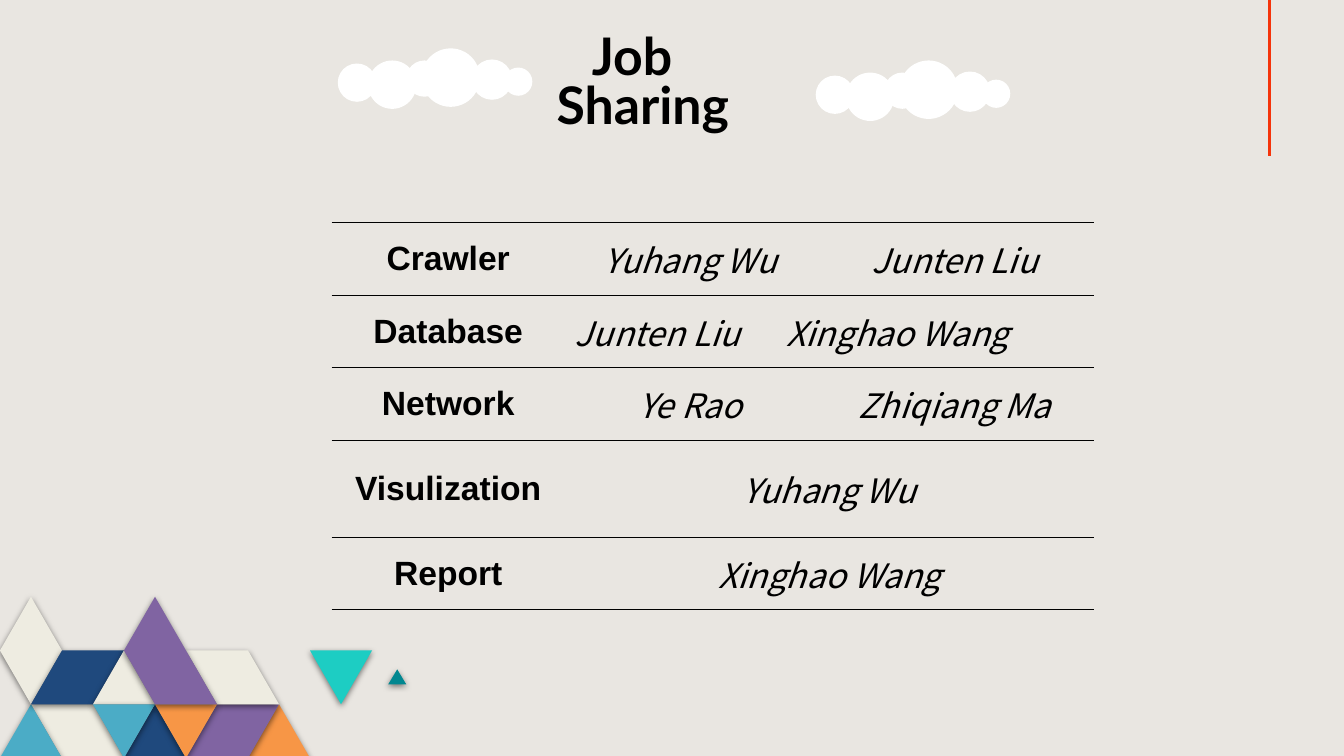
from dataclasses import dataclass

import pptx
import pptx.dml.color
import pptx.enum.shapes
import pptx.enum.text
import pptx.oxml
import pptx.oxml.ns
import pptx.util
from pptx.util import Inches

COLORS = {
    "paper": "E9E6E1", "ink": "000000", "cloud": "FFFFFF", "red": "F5340B",
    "cream": "EEECE1", "navy": "1F497D", "purple": "8064A2", "sky": "4BACC6",
    "orange": "F79646", "turquoise": "1DCDC3", "teal": "018790",
}
NS = pptx.oxml.ns.nsdecls("a")

# Mosaic lattice: half a triangle side across, one triangle height down
MOSAIC_TOP = Inches(5.92)
HALF_SIDE = Inches(3.69) / 12
TILE_HEIGHT = Inches(1.6) / 3


@dataclass
class Tile:
    color: str
    corners: list[tuple[int, int]]  # lattice column, lattice row


@dataclass
class Puff:
    x: float  # centre, from the cloud's left edge
    y: float  # centre, from the cloud's top edge
    radius: float


@dataclass
class Job:
    task: str
    people: list[str]
    height: float = 0.72


TILES = [
    Tile("orange", [(9, 2), (10, 3), (8, 3)]),
    Tile("purple", [(7, 2), (9, 2), (8, 3), (6, 3)]),
    Tile("cream", [(1, 2), (3, 2), (4, 3), (2, 3)]),
    Tile("sky", [(1, 2), (2, 3), (0, 3)]),
    Tile("navy", [(5, 2), (6, 3), (4, 3)]),
    Tile("cream", [(6, 1), (8, 1), (9, 2), (7, 2)]),
    Tile("turquoise", [(10, 1), (12, 1), (11, 2)]),
    Tile("cream", [(1, 0), (2, 1), (1, 2), (0, 1)]),
    Tile("navy", [(2, 1), (4, 1), (3, 2), (1, 2)]),
    Tile("cream", [(4, 1), (5, 2), (3, 2)]),
    Tile("sky", [(3, 2), (5, 2), (4, 3)]),
    Tile("orange", [(5, 2), (7, 2), (6, 3)]),
    Tile("purple", [(5, 0), (7, 2), (5, 2), (4, 1)]),
]
PUFFS = [
    Puff(0.19, 0.34, 0.19), Puff(0.54, 0.36, 0.24), Puff(0.86, 0.3, 0.18),
    Puff(1.12, 0.29, 0.29), Puff(1.53, 0.31, 0.2), Puff(1.79, 0.33, 0.14),
]
JOBS = [
    Job("Crawler", ["Yuhang Wu", "Junten Liu"]),
    Job("Database", ["Junten Liu\tXinghao Wang"]),
    Job("Network", ["Ye Rao", "Zhiqiang Ma"]),
    Job("Visulization", ["Yuhang Wu"], 0.96),
    Job("Report", ["Xinghao Wang"]),
]
COLUMN_WIDTHS = [2.31, 2.49, 2.76]


def rgb(color: str) -> pptx.dml.color.RGBColor:
    return pptx.dml.color.RGBColor.from_string(COLORS[color])


def paint(shape, color: str) -> None:
    shape.fill.solid()
    shape.fill.fore_color.rgb = rgb(color)
    shape.line.fill.background()
    shape.shadow.inherit = False


def add_tile_shadow(shape) -> None:
    effects = shape._element.spPr.find(pptx.oxml.ns.qn("a:effectLst"))
    effects.append(pptx.oxml.parse_xml(
        f'<a:outerShdw {NS} blurRad="57150" dist="19050" dir="5400000" '
        f'algn="ctr" rotWithShape="0"><a:srgbClr val="{COLORS["ink"]}">'
        '<a:alpha val="50000"/></a:srgbClr></a:outerShdw>'))


def draw_tile(slide, tile: Tile) -> None:
    points = [(round(column * HALF_SIDE), round(MOSAIC_TOP + row * TILE_HEIGHT))
              for column, row in tile.corners]
    outline = slide.shapes.build_freeform(*points[0])
    outline.add_line_segments(points[1:], close=True)
    piece = outline.convert_to_shape()
    paint(piece, tile.color)
    add_tile_shadow(piece)


def draw_cloud(slide, left: float, top: float) -> None:
    cloud = slide.shapes.add_group_shape()
    for puff in PUFFS:
        circle = cloud.shapes.add_shape(
            pptx.enum.shapes.MSO_SHAPE.OVAL,
            Inches(left + puff.x - puff.radius), Inches(top + puff.y - puff.radius),
            Inches(2 * puff.radius), Inches(2 * puff.radius))
        paint(circle, "cloud")


def format_text(paragraph, size: int, font: str, bold: bool, italic: bool) -> None:
    for run in paragraph.runs:
        run.font.size = pptx.util.Pt(size)
        run.font.name = font
        run.font.bold = bold
        run.font.italic = italic
        run.font.color.rgb = rgb("ink")


def rule_cell(cell) -> None:
    """Clear the fill and leave only the horizontal rules."""
    cell.fill.background()
    cell.vertical_anchor = pptx.enum.text.MSO_ANCHOR.MIDDLE
    rule = f'<a:solidFill><a:srgbClr val="{COLORS["ink"]}"/></a:solidFill>'
    sides = {"lnL": "<a:noFill/>", "lnR": "<a:noFill/>", "lnT": rule, "lnB": rule}
    properties = cell._tc.get_or_add_tcPr()
    for position, (side, stroke) in enumerate(sides.items()):
        properties.insert(position, pptx.oxml.parse_xml(
            f'<a:{side} {NS} w="12700">{stroke}</a:{side}>'))


def fill_cell(cell, text: str, is_task: bool) -> None:
    paragraph = cell.text_frame.paragraphs[0]
    paragraph.text = text
    if "\t" in text:
        paragraph.alignment = pptx.enum.text.PP_ALIGN.LEFT
        paragraph._p.get_or_add_pPr().append(pptx.oxml.parse_xml(
            f'<a:tabLst {NS}><a:tab pos="{Inches(2.1)}" algn="l"/></a:tabLst>'))
    else:
        paragraph.alignment = pptx.enum.text.PP_ALIGN.CENTER
    font = "Arial" if is_task else "Noto Sans CJK JP"
    format_text(paragraph, 24, font, bold=is_task, italic=not is_task)


deck = pptx.Presentation()
deck.slide_width, deck.slide_height = Inches(13.33), Inches(7.5)
slide = deck.slides.add_slide(deck.slide_layouts[5])
slide.background.fill.solid()
slide.background.fill.fore_color.rgb = rgb("paper")

# Mosaic in the lower left corner
for tile in TILES:
    draw_tile(slide, tile)
chip = slide.shapes.add_shape(
    pptx.enum.shapes.MSO_SHAPE.ISOSCELES_TRIANGLE,
    Inches(3.85), Inches(6.64), Inches(0.18), Inches(0.15))
paint(chip, "teal")
add_tile_shadow(chip)

# Red line at the top right
red_line = slide.shapes.add_connector(
    pptx.enum.shapes.MSO_CONNECTOR.STRAIGHT,
    Inches(12.59), Inches(0), Inches(12.59), Inches(1.55))
red_line.line.color.rgb = rgb("red")
red_line.line.width = pptx.util.Pt(2.25)
red_line._element.spPr.append(pptx.oxml.parse_xml(f"<a:effectLst {NS}/>"))

# Title between two clouds
draw_cloud(slide, 8.09, 0.6)
draw_cloud(slide, 3.35, 0.48)
heading = slide.shapes.title
heading.left, heading.top = Inches(5.42), Inches(0.3)
heading.width, heading.height = Inches(2.96), Inches(1.19)
heading.text_frame.text = "Job\nSharing"
heading.text_frame.vertical_anchor = pptx.enum.text.MSO_ANCHOR.TOP
heading.text_frame.auto_size = pptx.enum.text.MSO_AUTO_SIZE.NONE
for paragraph, indent in zip(heading.text_frame.paragraphs, (0.35, 0)):
    paragraph.alignment = pptx.enum.text.PP_ALIGN.LEFT
    paragraph.line_spacing = 0.8
    paragraph.space_before = pptx.util.Pt(0)
    paragraph._p.get_or_add_pPr().set("marL", str(Inches(indent)))
    format_text(paragraph, 37, "Lato", bold=True, italic=False)

# Who does which job
job_table = slide.shapes.add_table(
    len(JOBS), len(COLUMN_WIDTHS), Inches(3.29), Inches(2.21),
    Inches(sum(COLUMN_WIDTHS)), Inches(sum(job.height for job in JOBS))).table
job_table.first_row = job_table.horz_banding = False
for column, width in zip(job_table.columns, COLUMN_WIDTHS):
    column.width = Inches(width)
for row, job in enumerate(JOBS):
    job_table.rows[row].height = Inches(job.height)
    for column in range(len(COLUMN_WIDTHS)):
        rule_cell(job_table.cell(row, column))
    if len(job.people) == 1:
        job_table.cell(row, 1).merge(job_table.cell(row, 2))
    for column, text in enumerate([job.task, *job.people]):
        fill_cell(job_table.cell(row, column), text, is_task=column == 0)

deck.save("out.pptx")
